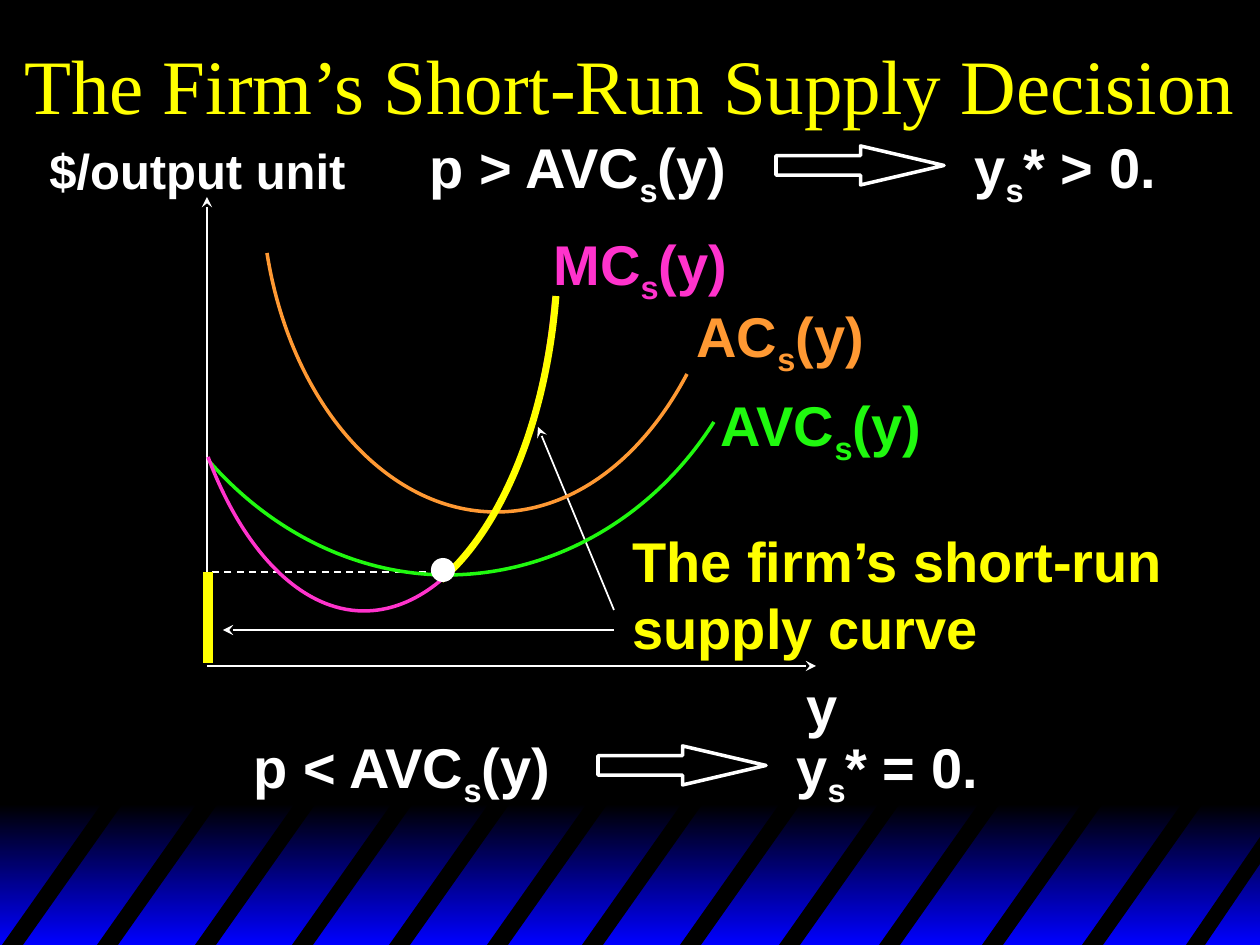
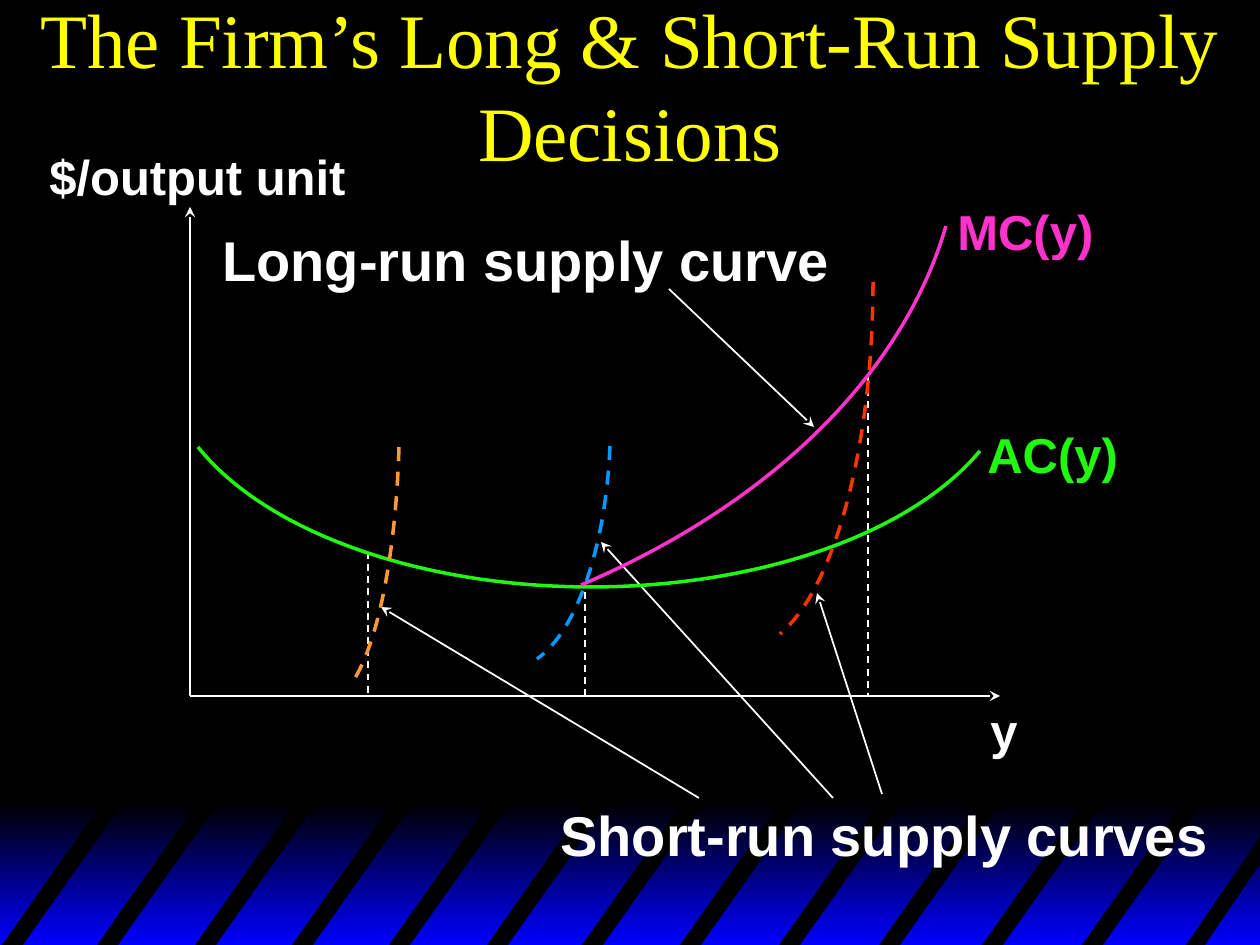
"""Build two slides on a firm's short-run and long-run supply decisions."""
from lxml.etree import SubElement
from pptx import Presentation
from pptx.dml.color import RGBColor
from pptx.enum.dml import MSO_LINE
from pptx.enum.shapes import MSO_CONNECTOR, MSO_SHAPE
from pptx.enum.text import MSO_ANCHOR, PP_ALIGN
from pptx.oxml.ns import qn
from pptx.util import Pt

BLACK = RGBColor(0x00, 0x00, 0x00)
BLUE = RGBColor(0x00, 0x00, 0xFF)
WHITE = RGBColor(0xFF, 0xFF, 0xFF)
YELLOW = RGBColor(0xFF, 0xFF, 0x00)
ORANGE = RGBColor(0xFF, 0x99, 0x33)
GREEN = RGBColor(0x20, 0xF9, 0x0F)
PINK = RGBColor(0xFF, 0x33, 0xCC)
RED = RGBColor(0xFF, 0x33, 0x00)
SKY = RGBColor(0x00, 0x99, 0xFF)

PX = 914400 / 126
WIDTH, HEIGHT = 1260, 945
BAND_TOP, STRIPE_TOP = 804, 799
STRIPE_LEFTS = [2, 97, 195, 292, 389, 487, 582, 680, 779, 879, 982, 1082]
STRIPE_WIDTH, STRIPE_SLANT = 21, 103
LAST_STRIPE = [(1186, 945), (1260, 837), (1260, 864), (1205, 945)]

SLIDES = [
    {
        "title": "The Firm’s Short-Run Supply Decision",
        "axes": [((207, 663), (207, 197)), ((207, 666), (816, 666))],
        "guides": [((438, 572), (207, 572))],
        "bars": [((208, 572), (208, 663))],
        "pointers": [((614, 610), (538, 427)), ((614, 630), (223, 630))],
        "curves": [
            (ORANGE, 2, False, [(687, 374), (641, 461), (571, 512), (496, 512),
                                (387, 512), (291, 404), (267, 253)]),
            (GREEN, 2, False, [(714, 422), (653, 518), (553, 575), (447, 575),
                               (358, 575), (272, 533), (209, 461)]),
            (PINK, 2, False, [(554, 297), (539, 479), (459, 611), (364, 611),
                              (302, 611), (244, 553), (208, 457)]),
            (YELLOW, 4, False, [(556, 296), (546, 422), (501, 529), (441, 580)]),
        ],
        "block_arrows": [(598, 746), (776, 146)],
        "dots": [(431, 558)],
        "labels": [
            ("AVC|s|(y)", 708, 384, 240, 32, GREEN),
            ("AC|s|(y)", 684, 295, 200, 32, ORANGE),
            ("MC|s|(y)", 541, 223, 210, 32, PINK),
            ("p < AVC|s|(y)", 241, 726, 340, 32, WHITE),
            ("y|s|* = 0.", 784, 726, 230, 32, WHITE),
            ("The firm’s short-run\nsupply curve", 620, 520, 570, 32, YELLOW),
            ("$/output unit", 37, 134, 330, 28, WHITE),
            ("y", 794, 665, 60, 32, WHITE),
            ("p > AVC|s|(y)", 417, 126, 340, 32, WHITE),
            ("y|s|* > 0.", 962, 126, 230, 32, WHITE),
        ],
    },
    {
        "title": "The Firm’s Long & Short-Run Supply Decisions",
        "axes": [((190, 696), (190, 207)), ((190, 696), (1000, 696))],
        "guides": [((585, 696), (585, 586)), ((868, 377), (868, 696)),
                   ((368, 552), (368, 696))],
        "bars": [],
        "pointers": [((669, 289), (814, 427)), ((699, 798), (381, 607)),
                     ((833, 798), (601, 542)), ((882, 794), (817, 593))],
        "curves": [
            (GREEN, 2, False, [(980, 451), (911, 534), (759, 587), (591, 587),
                               (420, 587), (266, 532), (198, 447)]),
            (PINK, 2, False, [(946, 226), (903, 374), (771, 504), (581, 585)]),
            (ORANGE, 2, True, [(399, 447), (396, 551), (379, 638), (355, 678)]),
            (RED, 2, True, [(873, 282), (873, 445), (835, 588), (780, 634)]),
            (SKY, 2, True, [(610, 446), (606, 546), (577, 631), (537, 659)]),
        ],
        "block_arrows": [],
        "dots": [],
        "labels": [
            ("MC(y)", 945, 195, 180, 28, PINK),
            ("AC(y)", 975, 418, 180, 28, GREEN),
            ("y", 978, 694, 60, 28, WHITE),
            ("$/output unit", 37, 140, 330, 28, WHITE),
            ("Short-run supply curves", 548, 794, 700, 32, WHITE),
            ("Long-run supply curve", 210, 219, 660, 32, WHITE),
        ],
    },
]


def emu(*lengths):
    return [round(length * PX) for length in lengths]


def add_outline(slide, points, close):
    corners = [emu(*point) for point in points]
    builder = slide.shapes.build_freeform(*corners[0], scale=1.0)
    builder.add_line_segments(corners[1:], close=close)
    shape = builder.convert_to_shape()
    shape.shadow.inherit = False
    return shape


def add_curve(slide, color, width, dashed, points):
    shape = add_outline(slide, points, close=False)
    shape.fill.background()
    style_line(shape.line, color, width, dashed)
    outline = next(shape.element.iter(qn("a:path")))
    segments = outline.findall(qn("a:lnTo"))
    for start in range(0, len(segments), 3):
        bezier = SubElement(outline, qn("a:cubicBezTo"))
        for segment in segments[start:start + 3]:
            bezier.append(segment[0])
            outline.remove(segment)


def style_line(line, color, width, dashed=False):
    line.color.rgb = color
    line.width = Pt(width)
    if dashed:
        line.dash_style = MSO_LINE.DASH


def add_line(slide, start, end, color=WHITE, width=1, dashed=False, arrow=False):
    connector = slide.shapes.add_connector(MSO_CONNECTOR.STRAIGHT, *emu(*start, *end))
    style_line(connector.line, color, width, dashed)
    if arrow:
        SubElement(connector.line._get_or_add_ln(), qn("a:tailEnd"), type="stealth")
    SubElement(connector.element.spPr, qn("a:effectLst"))


def add_preset(slide, preset, left, top, width, height):
    shape = slide.shapes.add_shape(preset, *emu(left, top, width, height))
    shape.shadow.inherit = False
    return shape


def add_text(slide, text, left, top, width, height, size, color, font="Arial", bold=True):
    box = slide.shapes.add_textbox(*emu(left, top, width, height))
    box.text_frame.word_wrap = True
    paragraph = box.text_frame.paragraphs[0]
    paragraph.font.name = font
    paragraph.font.size = Pt(size)
    paragraph.font.bold = bold
    paragraph.font.color.rgb = color
    for row, line in enumerate(text.split("\n")):
        if row:
            paragraph.add_line_break()
        for position, part in enumerate(line.split("|")):
            span = paragraph.add_run()
            span.text = part
            if position % 2:
                span.font._element.set("baseline", "-25000")
    return box


def add_band(slide):
    band = add_preset(slide, MSO_SHAPE.RECTANGLE, 0, BAND_TOP, WIDTH, HEIGHT - BAND_TOP)
    band.line.fill.background()
    band.fill.gradient()
    band.fill.gradient_angle = 270
    for stop, color in zip(band.fill.gradient_stops, (BLACK, BLUE)):
        stop.color.rgb = color
    stripes = [[(left, HEIGHT), (left + STRIPE_SLANT, STRIPE_TOP),
                (left + STRIPE_SLANT + STRIPE_WIDTH, STRIPE_TOP),
                (left + STRIPE_WIDTH, HEIGHT)] for left in STRIPE_LEFTS]
    for points in stripes + [LAST_STRIPE]:
        stripe = add_outline(slide, points, close=True)
        stripe.fill.solid()
        stripe.fill.fore_color.rgb = BLACK
        stripe.line.fill.background()


def add_title(slide, text):
    box = add_text(slide, text, 0, 0, WIDTH, 168, 44, YELLOW, "Times New Roman", False)
    box.text_frame.vertical_anchor = MSO_ANCHOR.MIDDLE
    box.text_frame.paragraphs[0].alignment = PP_ALIGN.CENTER


def add_diagram(slide, content):
    for start, end in content["axes"] + content["pointers"]:
        add_line(slide, start, end, arrow=True)
    for start, end in content["guides"]:
        add_line(slide, start, end, dashed=True)
    for start, end in content["bars"]:
        add_line(slide, start, end, YELLOW, 6)
    for curve in content["curves"]:
        add_curve(slide, *curve)
    for left, top in content["block_arrows"]:
        arrow = add_preset(slide, MSO_SHAPE.RIGHT_ARROW, left, top, 168, 39)
        arrow.adjustments[1] = 2.14
        arrow.fill.background()
        style_line(arrow.line, WHITE, 2)
    for left, top in content["dots"]:
        dot = add_preset(slide, MSO_SHAPE.OVAL, left, top, 24, 24)
        dot.fill.solid()
        dot.fill.fore_color.rgb = WHITE
        dot.line.fill.background()
    for text, left, top, width, size, color in content["labels"]:
        height = 147 if "\n" in text else 79
        add_text(slide, text, left, top, width, height, size, color)


def main():
    deck = Presentation()
    deck.slide_width, deck.slide_height = emu(WIDTH, HEIGHT)
    backdrop = deck.slide_master.background.fill
    backdrop.solid()
    backdrop.fore_color.rgb = BLACK
    for content in SLIDES:
        slide = deck.slides.add_slide(deck.slide_layouts[6])
        add_band(slide)
        add_title(slide, content["title"])
        add_diagram(slide, content)
    deck.save("out.pptx")


if __name__ == "__main__":
    main()
